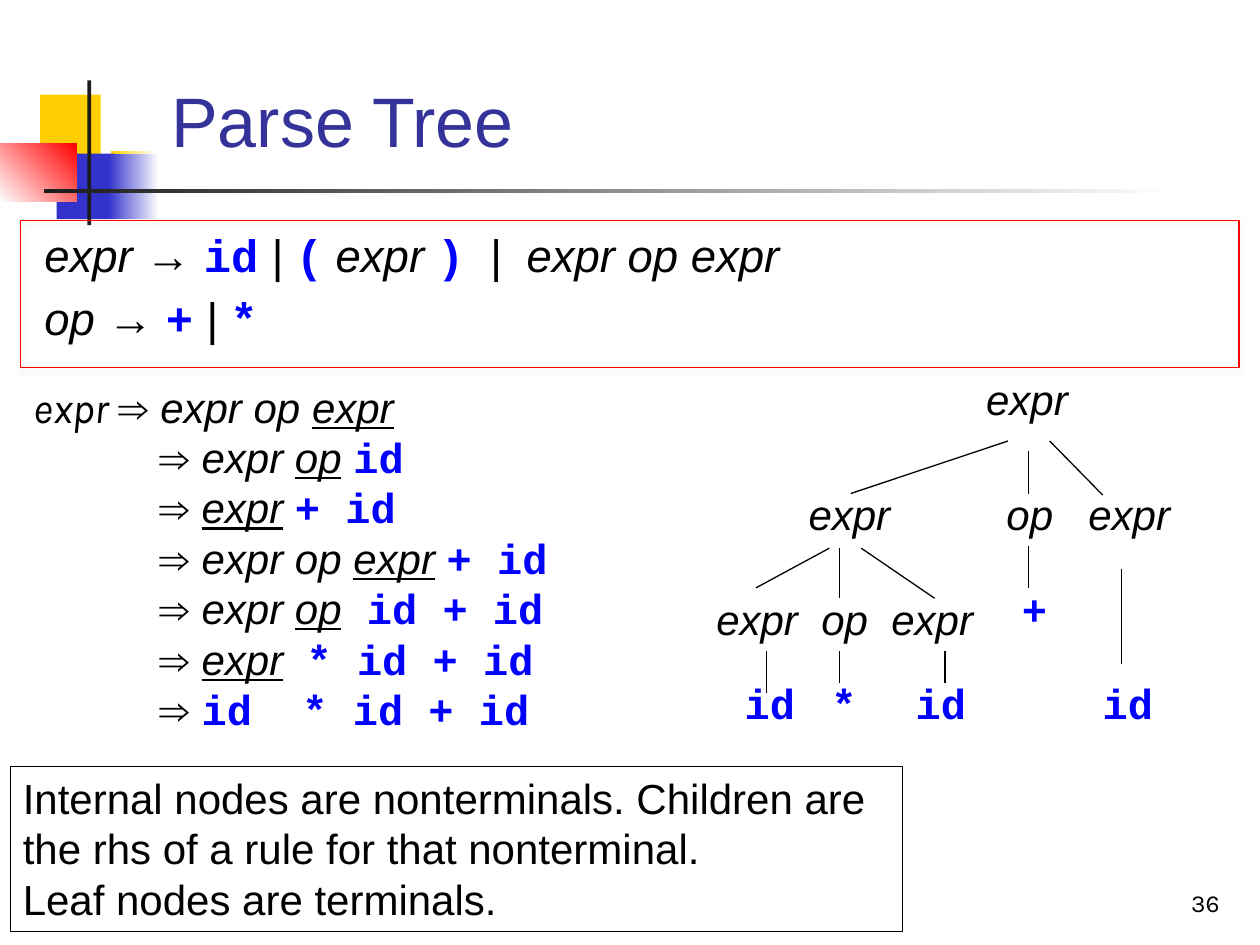
"""Build the Parse Tree slide: grammar, derivation, tree and note."""
from dataclasses import dataclass, field
from typing import NamedTuple, Optional

from lxml import etree
from pptx import Presentation
from pptx.dml.color import RGBColor
from pptx.enum import shapes, text
from pptx.oxml import parse_xml
from pptx.oxml.ns import nsdecls, qn
from pptx.util import Cm, Pt


@dataclass(frozen=True)
class Theme:
    """Colours, type sizes and run formats."""
    black: str = "000000"
    white: str = "FFFFFF"
    dark: str = "1C1C1C"
    red: str = "FF0000"
    blue: str = "3333CC"
    yellow: str = "FFCF01"
    title: str = "333399"
    terminal: str = "0000FF"
    title_size: int = 40
    grammar_size: int = 26
    text_size: int = 24
    number_size: int = 14
    line: float = 0.75
    formats: dict = field(default_factory=lambda: {
        "plain": {"name": "Arial"},
        "rule": {"name": "Arial", "italic": True},
        "next": {"name": "Arial", "italic": True, "underline": True},
        "start": {"name": "Karla", "italic": True},
        "number": {"name": "Karla"},
        "token": {"name": "Courier New", "bold": True},
    })


class Box(NamedTuple):
    """Position and size in centimetres."""
    left: float
    top: float
    width: float
    height: float


class Block(NamedTuple):
    """A decorative rectangle, with an optional gradient end."""
    box: Box
    color: str
    end: Optional[str] = None
    angle: float = 0


class Node(NamedTuple):
    """A label of the parse tree."""
    label: str
    left: float
    top: float
    style: str = "rule"


class Edge(NamedTuple):
    """A straight branch of the parse tree."""
    x1: float
    y1: float
    x2: float
    y2: float


T = Theme()
WIDTHS = {"expr": 2.39, "op": 1.5, "id": 1.55, "+": 1.02, "*": 1.02}
BLOCKS = [
    Block(Box(0.81, 1.91, 1.22, 1.32), T.yellow),
    Block(Box(2.24, 3.05, 0.91, 1.32), T.yellow, T.white),
    Block(Box(1.14, 3.1, 1.17, 1.32), T.blue),
    Block(Box(2.18, 3.1, 1.02, 1.32), T.blue, T.white),
    Block(Box(0, 2.9, 1.55, 1.17), T.white, T.red, 45),
    Block(Box(1.76, 1.62, 0.08, 2.92), T.dark),
    Block(Box(0.89, 3.81, 22.86, 0.08), T.dark, T.white),
]
GRAMMAR = [
    [("rule", "expr → "), ("token", "id"), ("rule", " | "), ("token", "("),
     ("rule", " expr "), ("token", ")"), ("rule", "  |  expr op expr")],
    [("rule", "op → "), ("token", "+"), ("rule", " | "), ("token", "*")],
]
STEPS = [
    [("rule", "expr "), ("next", "op"), ("plain", " "), ("token", "id")],
    [("next", "expr"), ("plain", " "), ("token", "+ id")],
    [("rule", "expr op "), ("next", "expr"), ("plain", " "), ("token", "+ id")],
    [("rule", "expr "), ("next", "op"), ("token", " id + id")],
    [("next", "expr"), ("plain", "  "), ("token", "* id + id")],
    [("token", "id  * id + id")],
]
DERIVATION = [[("start", "expr "), ("plain", "⇒ "), ("rule", "expr op "), ("next", "expr")]]
DERIVATION += [[("plain", "\t⇒ "), *step] for step in STEPS]
NOTE = [
    [("plain", "Internal nodes are nonterminals. Children are the rhs of a rule"
               " for that nonterminal.")],
    [("plain", "Leaf nodes are terminals.")],
]
NODES = [
    Node("expr", 19.63, 7.41),
    Node("expr", 16.05, 9.73), Node("op", 20.04, 9.73), Node("expr", 21.69, 9.73),
    Node("expr", 14.19, 11.84), Node("op", 16.31, 11.84), Node("expr", 17.72, 11.84),
    Node("+", 20.35, 11.63, "token"),
    Node("id", 14.76, 13.54, "token"), Node("*", 16.51, 13.54, "token"),
    Node("id", 18.21, 13.54, "token"), Node("id", 21.98, 13.54, "token"),
]
EDGES = [
    Edge(20.32, 8.89, 17.15, 9.95), Edge(20.74, 9.09, 20.74, 9.95),
    Edge(21.16, 8.89, 22.23, 9.98), Edge(20.74, 11, 20.74, 11.85),
    Edge(22.61, 11.48, 22.61, 13.38), Edge(16.72, 11.05, 15.24, 11.85),
    Edge(16.93, 11.05, 16.93, 12.06), Edge(17.36, 11.05, 18.84, 12.06),
    Edge(15.45, 13.13, 15.45, 13.97), Edge(16.93, 13.13, 16.93, 13.76),
    Edge(19.05, 13.13, 19.05, 13.76),
]


def write(sp, lines: list, size: float, color: str = T.black,
          align=text.PP_ALIGN.LEFT, anchor=text.MSO_ANCHOR.TOP) -> None:
    """Write paragraphs of styled runs into a shape."""
    tf = sp.text_frame
    frame = {"word_wrap": True, "auto_size": text.MSO_AUTO_SIZE.NONE, "vertical_anchor": anchor}
    for name, value in frame.items():
        setattr(tf, name, value)
    for i, line in enumerate(lines):
        p = tf.add_paragraph() if i else tf.paragraphs[0]
        p.alignment = align
        for style, content in line:
            r = p.add_run()
            r.text = content
            for name, value in {**T.formats[style], "size": Pt(size)}.items():
                setattr(r.font, name, value)
            r.font.color.rgb = RGBColor.from_string(T.terminal if style == "token" else color)


def place(sp, box: Box) -> None:
    """Move and size a placeholder."""
    for name, value in box._asdict().items():
        setattr(sp, name, Cm(value))


def add_text(s, box: Box, lines: list, size: float, **options):
    """Add a text box."""
    sp = s.shapes.add_textbox(*map(Cm, box))
    write(sp, lines, size, **options)
    return sp


def add_block(s, block: Block) -> None:
    """Add a borderless solid or gradient rectangle."""
    sp = s.shapes.add_shape(shapes.MSO_SHAPE.RECTANGLE, *map(Cm, block.box))
    sp.shadow.inherit = False
    sp.line.fill.background()
    if block.end is None:
        sp.fill.solid()
        sp.fill.fore_color.rgb = RGBColor.from_string(block.color)
        return
    sp.fill.gradient()
    sp.fill.gradient_angle = block.angle
    for stop, color in zip(sp.fill.gradient_stops, (block.color, block.end)):
        stop.color.rgb = RGBColor.from_string(color)


def add_frame(s, box: Box, color: str):
    """Add an unfilled outlined rectangle."""
    sp = s.shapes.add_shape(shapes.MSO_SHAPE.RECTANGLE, *map(Cm, box))
    sp.shadow.inherit = False
    sp.fill.background()
    sp.line.color.rgb = RGBColor.from_string(color)
    sp.line.width = Pt(T.line)
    return sp


def add_edge(s, edge: Edge) -> None:
    """Add one branch line without a shadow."""
    line = s.shapes.add_connector(shapes.MSO_CONNECTOR.STRAIGHT, *map(Cm, edge))
    line.line.color.rgb = RGBColor.from_string(T.black)
    line.line.width = Pt(T.line)
    etree.SubElement(line._element.spPr, qn("a:effectLst"))


def main() -> None:
    """Build and save the slide."""
    prs = Presentation()
    prs.slide_width, prs.slide_height = Cm(25.4), Cm(19.05)
    s = prs.slides.add_slide(prs.slide_layouts[1])
    for block in BLOCKS:
        add_block(s, block)

    title, body = s.shapes.title, s.placeholders[1]
    place(title, Box(3.2, 0.6, 21.64, 2.79))
    write(title, [[("plain", "Parse Tree")]], T.title_size, T.title,
          anchor=text.MSO_ANCHOR.BOTTOM)
    place(body, Box(0.64, 4.44, 24.23, 12.6))
    write(body, GRAMMAR, T.grammar_size)
    for p in body.text_frame.paragraphs:
        p.space_before = Pt(T.grammar_size * 0.2)
        pPr = p._p.get_or_add_pPr()
        pPr.set("marL", "0")
        pPr.set("indent", "0")
        etree.SubElement(pPr, qn("a:buNone"))

    add_text(s, Box(19.56, 17.35, 5.28, 1.27), [[("number", "36")]], T.number_size,
             align=text.PP_ALIGN.RIGHT, anchor=text.MSO_ANCHOR.BOTTOM)
    write(add_frame(s, Box(0.21, 15.45, 17.99, 3.33), T.black), NOTE, T.text_size)
    grammar_frame = add_frame(s, Box(0.42, 4.45, 24.56, 2.96), T.red)
    grammar_frame._element.spPr.find(qn("a:effectLst")).append(parse_xml(
        f'<a:outerShdw {nsdecls("a")} blurRad="40000" dist="23000" dir="5400000">'
        '<a:srgbClr val="808080"><a:alpha val="35000"/></a:srgbClr></a:outerShdw>'))
    derivation = add_text(s, Box(0.43, 7.56, 12.7, 8.46), DERIVATION, T.text_size)
    for p in derivation.text_frame.paragraphs[1:]:
        tabs = etree.SubElement(p._p.get_or_add_pPr(), qn("a:tabLst"))
        etree.SubElement(tabs, qn("a:tab"), pos=str(Cm(2.54)), algn="l")
    for edge in EDGES:
        add_edge(s, edge)
    for node in NODES:
        add_text(s, Box(node.left, node.top, WIDTHS[node.label], 1.3),
                 [[(node.style, node.label)]], T.text_size)
    prs.save("out.pptx")


if __name__ == "__main__":
    main()
